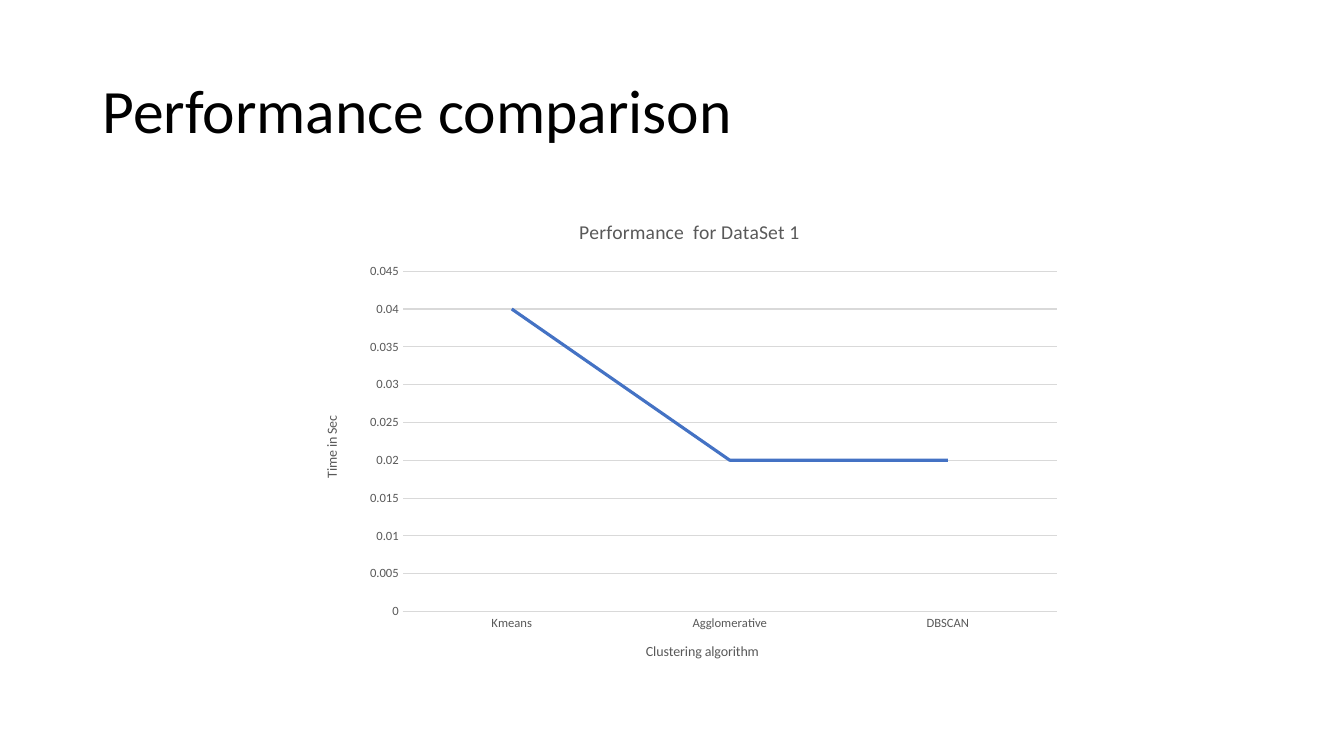
from lxml import etree
from pptx import Presentation
from pptx import util as u
from pptx.chart.data import CategoryChartData
from pptx.dml.color import RGBColor
from pptx.enum import chart as ch, text
from pptx.oxml.ns import qn


def color(value):
    return RGBColor.from_string(value)


class SlideBuilder:
    font = "Calibri"
    black, gray, grid, blue = "000000", "595959", "D9D9D9", "4472C4"

    def __init__(self, prs):
        self.slide = prs.slides.add_slide(prs.slide_layouts[5])

    def set_font(self, font, size, hex_color):
        font.name = self.font
        font.size = u.Pt(size)
        font.bold = False
        font.color.rgb = color(hex_color)

    def title(self, content, x, y, w, h):
        sp = self.slide.shapes.title
        sp.left, sp.top, sp.width, sp.height = map(u.Pt, (x, y, w, h))
        tf = sp.text_frame
        tf.text = content
        tf.word_wrap = True
        tf.vertical_anchor = text.MSO_ANCHOR.MIDDLE
        p = tf.paragraphs[0]
        p.alignment = text.PP_ALIGN.LEFT
        p.line_spacing = 0.9
        self.set_font(p.font, 44, self.black)

    def place(self, element, index, **values):
        for old in element.findall(qn("c:layout")):
            element.remove(old)
        layout = etree.Element(qn("c:layout"))
        manual = etree.SubElement(layout, qn("c:manualLayout"))
        for name, value in values.items():
            etree.SubElement(manual, qn(f"c:{name}"), val=str(value))
        element.insert(index, layout)

    def chart_title(self, owner, title, content, size, x, y):
        tf = title.text_frame
        tf.text = content
        self.set_font(tf.paragraphs[0].font, size, self.gray)
        self.place(owner, 1, xMode="edge", yMode="edge", x=x, y=y)
        return tf

    def axis(self, axis, content, x, y):
        axis.major_tick_mark = axis.minor_tick_mark = ch.XL_TICK_MARK.NONE
        self.set_font(axis.tick_labels.font, 9, self.gray)
        title = axis.axis_title
        return self.chart_title(title._element, title, content, 10, x, y)

    def line(self, line, hex_color, width):
        line.color.rgb = color(hex_color)
        line.width = u.Pt(width)

    def line_chart(self, content, categories, values, x, y, w, h):
        data = CategoryChartData()
        data.categories = categories
        data.add_series("Series 1", values)
        chart = self.slide.shapes.add_chart(
            ch.XL_CHART_TYPE.LINE_STACKED, *map(u.Pt, (x, y, w, h)), data
        ).chart
        self.set_font(chart.font, 10, self.black)
        chart.has_legend = False
        title = chart.chart_title
        self.chart_title(title._element, title, content, 14, 0.35, 0.04)

        cat, val = chart.category_axis, chart.value_axis
        self.axis(cat, "Clustering algorithm", 0.44, 0.94)
        self.line(cat.format.line, self.grid, 0.75)
        tf = self.axis(val, "Time in Sec", 0.01, 0.46)
        tf._txBody.bodyPr.set("rot", "-5400000")
        tf._txBody.bodyPr.set("vert", "horz")
        val.format.line.fill.background()
        val.minimum_scale, val.maximum_scale, val.major_unit = 0, 0.045, 0.005
        val.tick_labels.number_format = "General"
        val.tick_labels.number_format_is_linked = False
        val.has_major_gridlines = True
        self.line(val.major_gridlines.format.line, self.grid, 0.75)

        plot = chart.plots[0]
        plot.vary_by_categories = False
        series = plot.series[0]
        series.smooth = False
        series.marker.style = ch.XL_MARKER_STYLE.NONE
        self.line(series.format.line, self.blue, 2.25)
        area = chart._chartSpace.chart.plotArea
        self.place(area, 0, layoutTarget="inner", xMode="edge", yMode="edge",
                   x=0.12, y=0.16, w=0.87, h=0.72)


def main():
    prs = Presentation()
    prs.slide_width, prs.slide_height = u.Pt(960), u.Pt(540)
    s = SlideBuilder(prs)
    s.title("Performance comparison", 66, 28.75, 828, 104.4)
    s.line_chart("Performance  for DataSet 1", ["Kmeans", "Agglomerative", "DBSCAN"],
                 [0.04, 0.02, 0.02], 223.2, 139.7, 537.1, 337.7)
    prs.save("out.pptx")


if __name__ == "__main__":
    main()
